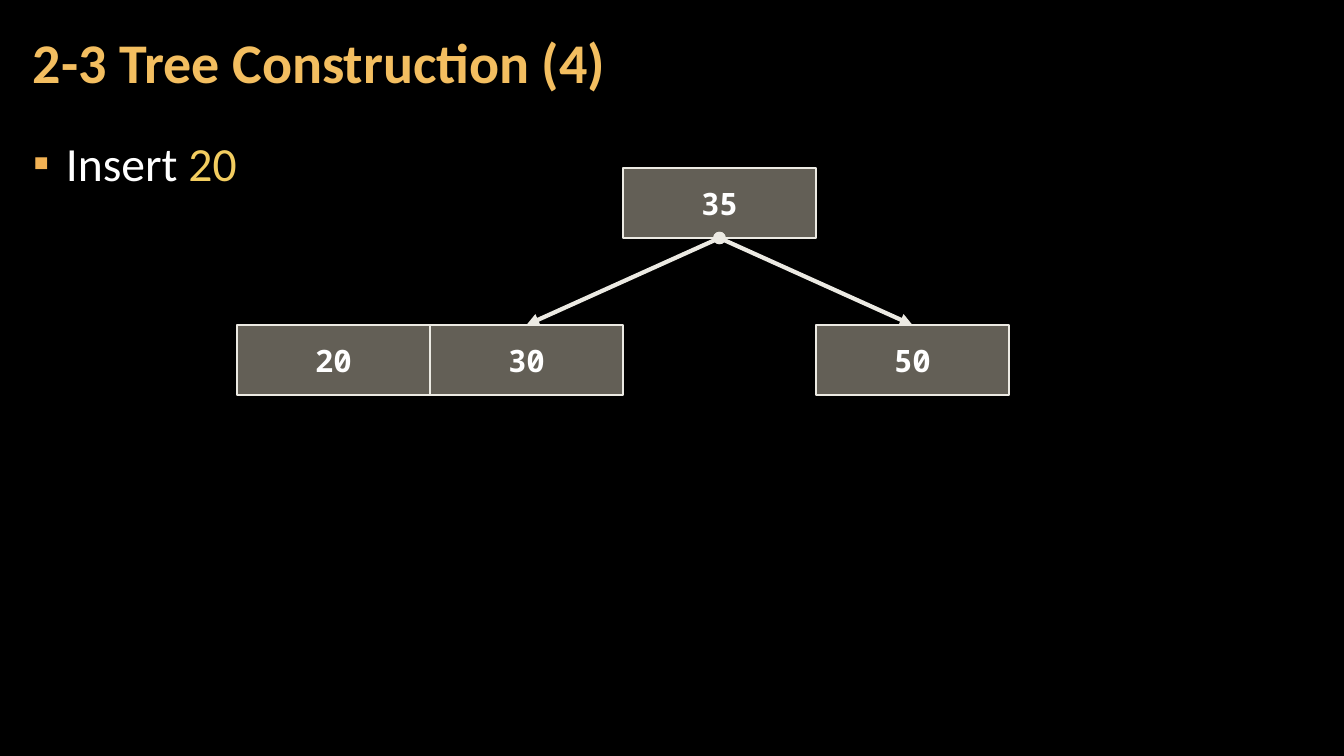
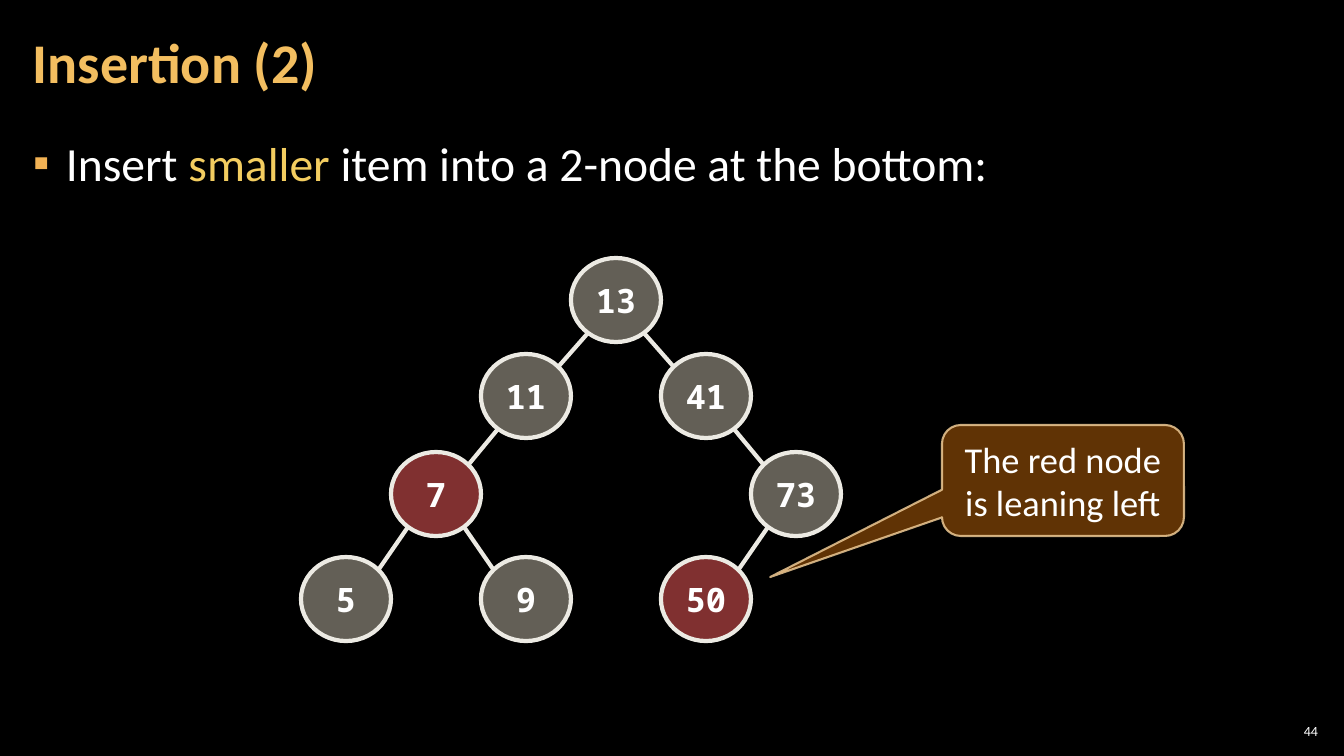
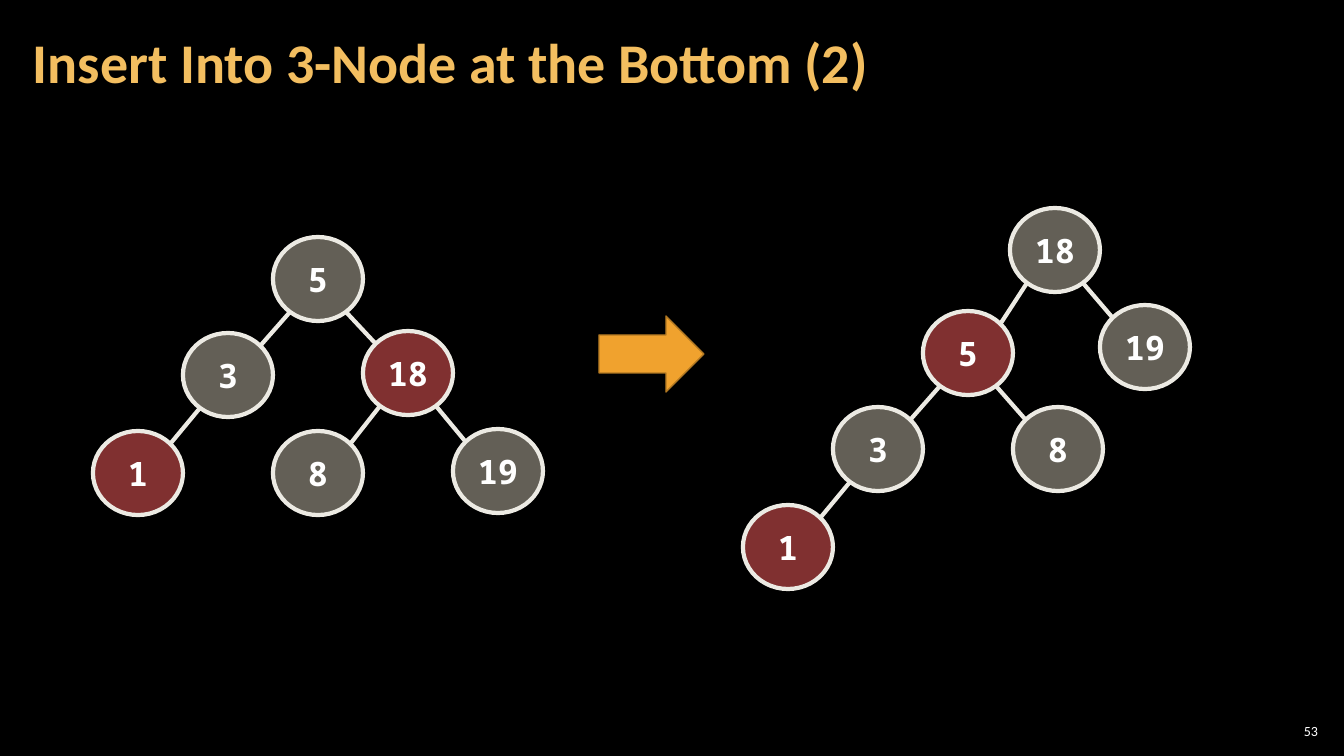
import pptx
import pptx.util
import pptx.dml.color
import pptx.enum.shapes
import pptx.enum.text
import pptx.oxml.ns
import lxml.etree
from dataclasses import dataclass
from typing import Any

Shape = pptx.enum.shapes.MSO_SHAPE
Align = pptx.enum.text.PP_ALIGN
Anchor = pptx.enum.text.MSO_ANCHOR
Pt = pptx.util.Pt
qn = pptx.oxml.ns.qn

# Shared look
SCALE = 914400 / 100.8
SANS, MONO = "Calibri", "Noto Sans Mono"
BLACK, WHITE = "000000", "FFFFFF"
GOLD, YELLOW, AMBER = "F3BE60", "F3CD60", "F2B254"
STONE, RED, PALE = "C7BFAC", "FF6161", "ECEAE3"
TITLE = (21, 4, 1055, 122)
BODY = (21, 127, 1301, 614)
NUMBER = (1275, 720, 47, 21)

# Tree measures
CELL_W, CELL_H = 193, 70
NODE_W, NODE_H = 90, 84
OUT = (28, 33)  # where an edge leaves a parent, from its centre
INTO = (33, 30)  # where it meets a child


@dataclass
class Node:
    text: str
    left: int
    top: int
    parent: str = ""
    fill: str = STONE


def px(num: int) -> int:
    return round(num * SCALE)


def rgb(code: str) -> Any:
    return pptx.dml.color.RGBColor.from_string(code)


def fade(owner: Any, share: int) -> None:
    """Set the opacity, in percent, of the solid fill in an element."""
    color = owner.find(qn("a:solidFill"))[0]
    lxml.etree.SubElement(color, qn("a:alpha")).set("val", str(share * 1000))


def style(para: Any, size: int, color: str = WHITE, name: str = SANS,
          bold: bool = False, align: Any = Align.LEFT) -> None:
    para.alignment = align
    font = para.font
    font.size, font.name, font.bold = Pt(size), name, bold
    font.color.rgb = rgb(color)


def frame(shape: Any, box: tuple[int, int, int, int], side: int, edge: int,
          anchor: Any) -> Any:
    """Place a text shape, set its margins and return its first paragraph."""
    shape.left, shape.top, shape.width, shape.height = map(px, box)
    text = shape.text_frame
    text.word_wrap = True
    text.auto_size = pptx.enum.text.MSO_AUTO_SIZE.NONE
    text.margin_left = text.margin_right = px(side)
    text.margin_top = text.margin_bottom = px(edge)
    text.vertical_anchor = anchor
    return text.paragraphs[0]


def start(deck: Any, title: str, number: str = "", body: bool = True) -> Any:
    """Add a slide with its title and, if given, its number."""
    slide = deck.slides.add_slide(deck.slide_layouts[1 if body else 5])
    para = frame(slide.shapes.title, TITLE, 12, 4, Anchor.MIDDLE)
    para.text = title
    para.line_spacing = 0.9
    style(para, 40, GOLD, bold=True)
    if number:
        box = slide.shapes.add_textbox(0, 0, 0, 0)
        para = frame(box, NUMBER, 4, 4, Anchor.MIDDLE)
        para.text = number
        style(para, 10, align=Align.RIGHT)
    return slide


def bullet(slide: Any, lead: str, key: str, rest: str = "") -> None:
    """Fill the body with one bullet whose key word stands out."""
    para = frame(slide.placeholders[1], BODY, 12, 4, Anchor.TOP)
    para.line_spacing = 1.05
    para.space_before, para.space_after = Pt(0), Pt(6)
    props = para._p.get_or_add_pPr()
    props.set("marL", str(px(33)))
    props.set("indent", str(px(-33)))
    tint = lxml.etree.SubElement(props, qn("a:buClr"))
    lxml.etree.SubElement(tint, qn("a:srgbClr")).set("val", AMBER)
    lxml.etree.SubElement(props, qn("a:buChar")).set("char", "▪")
    style(para, 34)
    for text in filter(None, (lead, key, rest)):
        run = para.add_run()
        run.text = text
        if text == key:
            run.font.color.rgb = rgb(YELLOW)


def draw(slide: Any, kind: Any, box: tuple[int, int, int, int], fill: str,
         line: str, width: float) -> Any:
    shape = slide.shapes.add_shape(kind, *map(px, box))
    shape.shadow.inherit = False
    shape.fill.solid()
    shape.fill.fore_color.rgb = rgb(fill)
    shape.line.color.rgb = rgb(line)
    shape.line.width = Pt(width)
    return shape


def label(shape: Any, text: str, size: int, name: str = MONO,
          bold: bool = True, wrap: bool = True) -> None:
    shape.text_frame.word_wrap = wrap
    shape.text_frame.vertical_anchor = Anchor.MIDDLE
    para = shape.text_frame.paragraphs[0]
    para.text = text
    style(para, size, name=name, bold=bold, align=Align.CENTER)


def link(slide: Any, x1: int, y1: int, x2: int, y2: int) -> Any:
    line = slide.shapes.add_connector(
        pptx.enum.shapes.MSO_CONNECTOR.STRAIGHT, *map(px, (x1, y1, x2, y2)))
    line.line.color.rgb = rgb(PALE)
    line.line.width = Pt(3)
    lxml.etree.SubElement(line.element.spPr, qn("a:effectLst"))
    return line


def cell(slide: Any, text: str, col: int, top: int) -> Any:
    box = (237 + col * CELL_W, top, CELL_W, CELL_H)
    shape = draw(slide, Shape.RECTANGLE, box, STONE, PALE, 1)
    fade(shape.element.spPr, 50)
    label(shape, text, 22)
    return shape


def arrow(slide: Any, top: Any, low: Any) -> None:
    """Join the bottom of one cell to the top of another."""
    line = link(slide, 0, 0, 0, 0)
    line.begin_connect(top, 2)
    line.end_connect(low, 0)
    ln = line.element.spPr.find(qn("a:ln"))
    for tag, kind in (("a:headEnd", "oval"), ("a:tailEnd", "triangle")):
        lxml.etree.SubElement(ln, qn(tag)).set("type", kind)


def tree(slide: Any, nodes: list[Node]) -> None:
    """Draw round nodes and an edge from each one's parent."""
    known = {node.text: node for node in nodes}
    for node in nodes:
        box = (node.left, node.top, NODE_W, NODE_H)
        shape = draw(slide, Shape.OVAL, box, node.fill, PALE, 3)
        fade(shape.element.spPr, 50)
        label(shape, node.text, 24, wrap=False)
        if node.parent:
            up = known[node.parent]
            side = 1 if node.left > up.left else -1
            half, mid = NODE_W // 2, NODE_H // 2
            link(slide,
                 up.left + half + side * OUT[0], up.top + mid + OUT[1],
                 node.left + half - side * INTO[0], node.top + mid - INTO[1])


def build(deck: Any) -> None:
    # Cells of a 2-3 tree
    slide = start(deck, "2-3 Tree Construction (4)")
    bullet(slide, "Insert ", "20")
    cell(slide, "20", 0, 325)
    left = cell(slide, "30", 1, 325)
    right = cell(slide, "50", 3, 325)
    root = cell(slide, "35", 2, 168)
    for low in (left, right):
        arrow(slide, root, low)

    # Insertion with a callout
    slide = start(deck, "Insertion (2)", "44")
    bullet(slide, "Insert ", "smaller ", "item into a 2-node at the bottom:")
    tree(slide, [
        Node("13", 571, 258),
        Node("11", 481, 354, "13"),
        Node("41", 661, 354, "13"),
        Node("7", 391, 452, "11", RED),
        Node("73", 751, 452, "41"),
        Node("5", 301, 557, "7"),
        Node("9", 481, 557, "7"),
        Node("50", 661, 557, "73", RED),
    ])
    note = draw(slide, Shape.ROUNDED_RECTANGULAR_CALLOUT,
                (942, 425, 242, 111), "663606", "F8D49E", 1.5)
    for spot, value in enumerate((-1.21, 0.87, 0.17)):
        note.adjustments[spot] = value
    fade(note.element.spPr, 95)
    fade(note.element.spPr.find(qn("a:ln")), 80)
    label(note, "The red node is leaning left", 26, SANS, bold=False)

    # Tree before and after
    slide = start(deck, "Insert Into 3-Node at the Bottom (2)", "53", False)
    tree(slide, [
        Node("5", 273, 237),
        Node("3", 183, 333, "5"),
        Node("18", 363, 331, "5", RED),
        Node("1", 93, 431, "3", RED),
        Node("8", 273, 431, "18"),
        Node("19", 453, 429, "18"),
    ])
    draw(slide, Shape.RIGHT_ARROW, (599, 316, 105, 76), "F0A22E", "B27822", 1)
    tree(slide, [
        Node("18", 1010, 208),
        Node("5", 923, 311, "18", RED),
        Node("19", 1100, 305, "18"),
        Node("3", 833, 407, "5"),
        Node("8", 1013, 407, "5"),
        Node("1", 743, 505, "3", RED),
    ])


def main() -> None:
    deck = pptx.Presentation()
    deck.slide_width, deck.slide_height = px(1344), px(756)
    back = deck.slide_master.background.fill
    back.solid()
    back.fore_color.rgb = rgb(BLACK)
    build(deck)
    deck.save("out.pptx")


if __name__ == "__main__":
    main()
